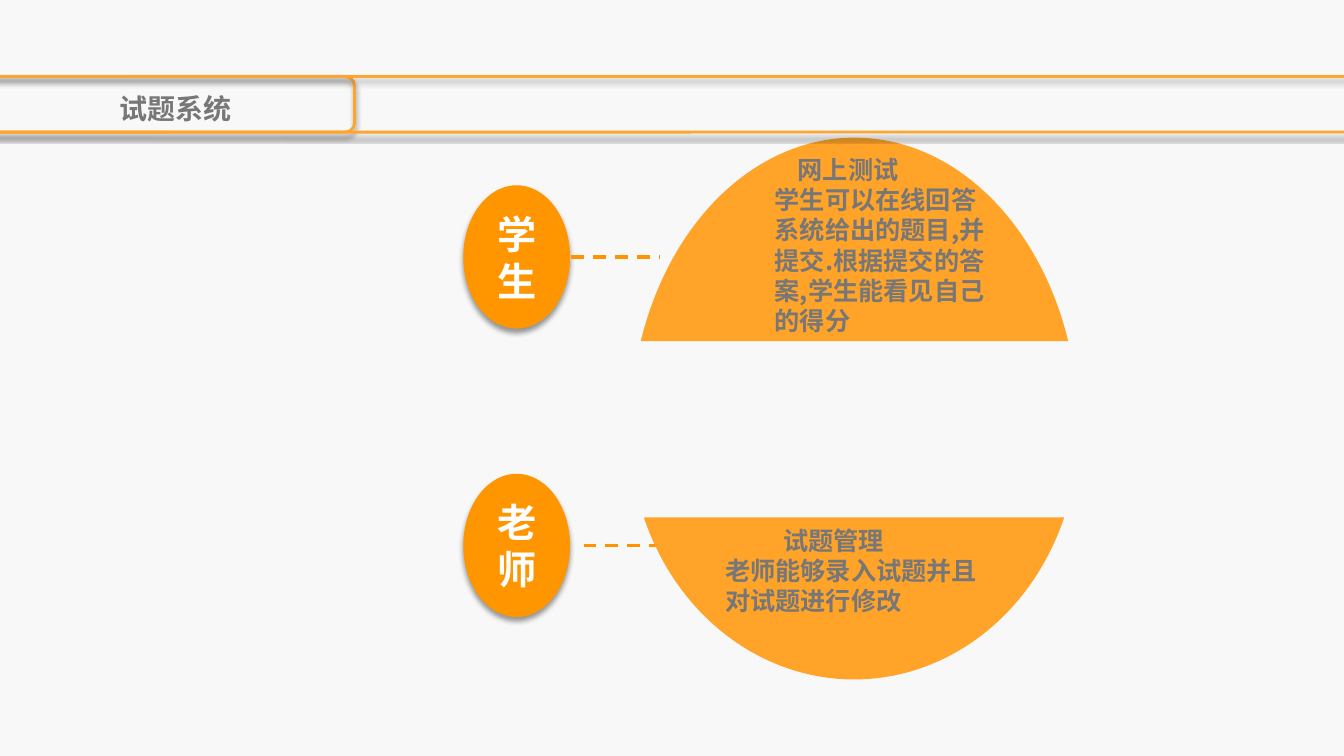
from dataclasses import dataclass

from lxml import etree
from pptx import Presentation
from pptx.dml.color import RGBColor
from pptx.enum.dml import MSO_LINE
from pptx.enum.shapes import MSO_CONNECTOR, MSO_SHAPE
from pptx.enum.text import MSO_ANCHOR, MSO_AUTO_SIZE, PP_ALIGN
from pptx.oxml.ns import qn
from pptx.util import Cm, Pt

OVAL, CHORD = MSO_SHAPE.OVAL, MSO_SHAPE.CHORD
BAR = MSO_SHAPE.FLOWCHART_ALTERNATE_PROCESS
STRAIGHT, DASH = MSO_CONNECTOR.STRAIGHT, MSO_LINE.DASH
CENTER, LEFT = PP_ALIGN.CENTER, PP_ALIGN.LEFT
TOP, MIDDLE = MSO_ANCHOR.TOP, MSO_ANCHOR.MIDDLE
GROW = MSO_AUTO_SIZE.SHAPE_TO_FIT_TEXT


@dataclass(frozen=True)
class Theme:
    font: str = "Noto Sans CJK SC"
    background: RGBColor = RGBColor(0xF8, 0xF8, 0xF8)
    badge: RGBColor = RGBColor(0xFF, 0x96, 0x00)
    badge_text: RGBColor = RGBColor(0xFF, 0xFF, 0xFF)
    dash: RGBColor = RGBColor(0xFF, 0x93, 0x00)
    dome: RGBColor = RGBColor(0xFF, 0xA3, 0x29)
    frame: RGBColor = RGBColor(0xFF, 0xA5, 0x2D)
    text: RGBColor = RGBColor(0x77, 0x77, 0x77)
    badge_size: Pt = Pt(28)
    title_size: Pt = Pt(20)
    body_size: Pt = Pt(18)
    frame_width: Pt = Pt(2)
    dash_width: Pt = Pt(2.25)


THEME = Theme()


def add_bold_run(paragraph, wording, size, color):
    run = paragraph.add_run()
    run.text = wording
    run.font.name = THEME.font
    run.font.size = size
    run.font.bold = True
    run.font.color.rgb = color
    etree.SubElement(run.font._element, qn("a:ea"), typeface=THEME.font)


def add_plain_shape(slide, kind, left, top, width, height, fill=None):
    shape = slide.shapes.add_shape(kind, Cm(left), Cm(top), Cm(width), Cm(height))
    shape.shadow.inherit = False
    shape.line.fill.background()
    if fill is None:
        shape.fill.background()
    else:
        shape.fill.solid()
        shape.fill.fore_color.rgb = fill
    return shape


def drop_shadow(shape):
    effects = shape._element.spPr.find(qn("a:effectLst"))
    shadow = etree.SubElement(effects, qn("a:outerShdw"), blurRad=str(Pt(4)),
                              dist=str(Pt(3)), dir="5400000", rotWithShape="0")
    black = etree.SubElement(shadow, qn("a:srgbClr"), val="000000")
    etree.SubElement(black, qn("a:alpha"), val="40000")


def add_badge(slide, left, top, width, height, role):
    badge = add_plain_shape(slide, OVAL, left, top, width, height, THEME.badge)
    drop_shadow(badge)
    frame = badge.text_frame
    frame.word_wrap = True
    frame.vertical_anchor = MIDDLE
    frame.paragraphs[0].alignment = CENTER
    add_bold_run(frame.paragraphs[0], role, THEME.badge_size, THEME.badge_text)


def add_dash(slide, start, end, y):
    dash = slide.shapes.add_connector(STRAIGHT, Cm(start), Cm(y), Cm(end), Cm(y))
    dash.line.color.rgb = THEME.dash
    dash.line.width = THEME.dash_width
    dash.line.dash_style = DASH
    etree.SubElement(dash._element.spPr, qn("a:effectLst"))


def add_dome(slide, left, top, width, height, rotation):
    """Chord cut from the left of an ellipse, then turned up (90) or down (270)."""
    dome = add_plain_shape(slide, CHORD, left, top, width, height, THEME.dome)
    dome.adjustments[0], dome.adjustments[1] = 67.4, 148.6
    dome.rotation = rotation


def add_description(slide, left, top, width, height, heading, indent, body):
    box = slide.shapes.add_textbox(Cm(left), Cm(top), Cm(width), Cm(height))
    frame = box.text_frame
    frame.word_wrap = True
    frame.auto_size = GROW
    first = frame.paragraphs[0]
    first._p.get_or_add_pPr().set("indent", str(Cm(indent)))
    add_bold_run(first, heading, THEME.body_size, THEME.text)
    add_bold_run(frame.add_paragraph(), body, THEME.body_size, THEME.text)


def add_role(slide, left, top, role, dash, dome, rotation, description, wording):
    """Badge at (left, top); the other parts are offset from that corner."""
    width, height = 2.69, 3.61
    add_badge(slide, left, top, width, height, role)
    add_dash(slide, left + dash[0], left + dash[1], top + height / 2)
    dx, dy, *size = dome
    add_dome(slide, left + dx, top + dy, *size, rotation)
    dx, dy, *size = description
    add_description(slide, left + dx, top + dy, *size, *wording)


def add_title_bar(slide, top, height, title):
    for left, width in ((-0.66, 9.6), (-0.46, 35.41)):
        bar = add_plain_shape(slide, BAR, left, top, width, height)
        bar.line.color.rgb = THEME.frame
        bar.line.width = THEME.frame_width
        drop_shadow(bar)
    box = slide.shapes.add_textbox(Cm(0.53), Cm(top), Cm(7.77), Cm(height))
    frame = box.text_frame
    frame.word_wrap = True
    frame.vertical_anchor = TOP
    line = frame.paragraphs[0]
    line.alignment = CENTER
    line.line_spacing = 1.3
    add_bold_run(line, title, THEME.title_size, THEME.text)


def main():
    deck = Presentation()
    deck.slide_width, deck.slide_height = Cm(33.88), Cm(19.05)
    slide = deck.slides.add_slide(deck.slide_layouts[6])
    slide.background.fill.solid()
    slide.background.fill.fore_color.rgb = THEME.background

    add_role(slide, 11.68, 4.67, "学生", dash=(2.72, 4.96),
             dome=(2.52, 0.49, 14.68, 11.3), rotation=90,
             description=(7.6, -0.91, 6.12, 4.88),
             wording=("网上测试", 0.58,
                      "学生可以在线回答系统给出的题目,并提交.根据提交的答案,学生能看见自己的得分"))
    add_role(slide, 11.68, 11.94, "老师", dash=(3.03, 7.78),
             dome=(3.59, -6.73, 12.52, 11.3), rotation=270,
             description=(6.35, 1.17, 7.47, 2.57),
             wording=("试题管理", 1.46, "老师能够录入试题并且对试题进行修改"))
    add_title_bar(slide, 1.93, 1.4, "试题系统")
    deck.save("out.pptx")


if __name__ == "__main__":
    main()
